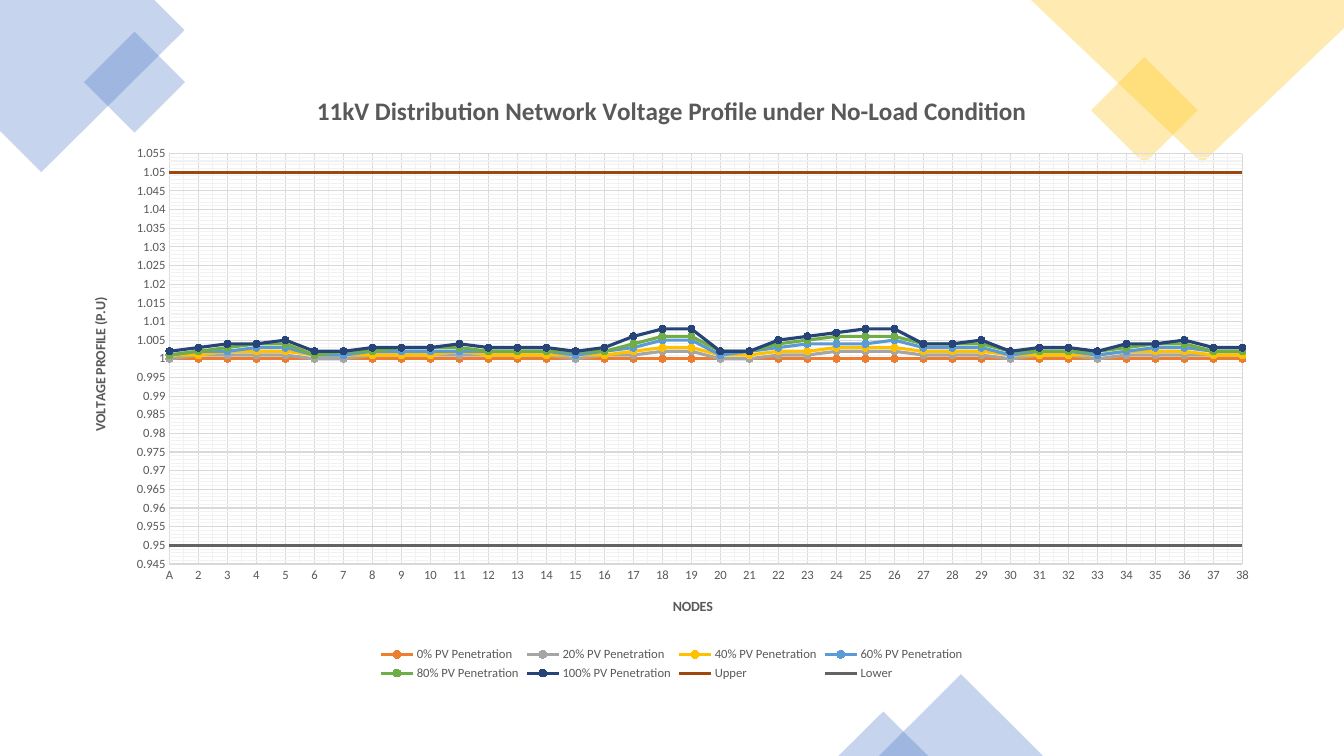
from copy import deepcopy

from lxml.etree import SubElement
from pptx import Presentation
from pptx.chart.data import CategoryChartData as ChartData
from pptx.dml.color import RGBColor
from pptx.enum.chart import XL_CHART_TYPE as Kind
from pptx.enum.chart import XL_LEGEND_POSITION as Place
from pptx.enum.chart import XL_MARKER_STYLE as Mark
from pptx.enum.chart import XL_TICK_MARK as Tick
from pptx.enum.shapes import MSO_SHAPE as Form
from pptx.oxml.ns import qn
from pptx.util import Cm, Pt

# Colours
BLUE = RGBColor(0x44, 0x72, 0xC4)
GOLD = RGBColor(0xFF, 0xC0, 0x00)
ORANGE = RGBColor(0xED, 0x7D, 0x31)
GREY = RGBColor(0xA5, 0xA5, 0xA5)
SKY = RGBColor(0x5B, 0x9B, 0xD5)
GREEN = RGBColor(0x70, 0xAD, 0x47)
NAVY = RGBColor(0x26, 0x44, 0x78)
BROWN = RGBColor(0x9E, 0x48, 0x0E)
STEEL = RGBColor(0x63, 0x63, 0x63)
TEXT = RGBColor(0x59, 0x59, 0x59)
GRID = RGBColor(0xD9, 0xD9, 0xD9)
FAINT = RGBColor(0xF2, 0xF2, 0xF2)

# Chart data: each digit is the rise above 1 p.u. in thousandths
NODES = ["A"] + [str(n) for n in range(2, 39)]
RISES = {
    "0%": (ORANGE, "0" * 38),
    "20%": (GREY, "01111001111111011220011222111011011111"),
    "40%": (GOLD, "11222111112111112331122333222111122211"),
    "60%": (SKY, "12233112222222123551234445333122123322"),
    "80%": (GREEN, "12344122333222224662245666444222234422"),
    "100%": (NAVY, "23445223334333236882256788445233244533"),
}
LIMITS = {"Upper": (BROWN, 1.05), "Lower": (STEEL, 0.95)}


def put(item, values):
    for name, value in values.items():
        setattr(item, name, value)


class Board:
    """Holds the style and the current slide."""

    face = "Calibri"
    alpha = "30000"

    def __init__(self, deck):
        self.slide = deck.slides.add_slide(deck.slide_layouts[6])
        self.shapes = self.slide.shapes

    def tint(self, shape, color):
        shape.shadow.inherit = False
        shape.fill.solid()
        shape.fill.fore_color.rgb = color
        shape.line.fill.background()
        tone = next(shape._element.spPr.iter(qn("a:srgbClr")))
        SubElement(tone, qn("a:alpha")).set("val", self.alpha)

    def outline(self, points, color):
        spots = [(Cm(x), Cm(y)) for x, y in points]
        pen = self.shapes.build_freeform(*spots[0])
        pen.add_line_segments(spots[1:], close=True)
        self.tint(pen.convert_to_shape(), color)

    def preset(self, form, box, color, turn=0):
        shape = self.shapes.add_shape(form, *map(Cm, box))
        shape.rotation = turn
        self.tint(shape, color)

    def font(self, font, size, bold=False):
        put(font, {"name": self.face, "size": Pt(size), "bold": bold})
        font.color.rgb = TEXT

    def title(self, owner, text, size):
        frame = owner.text_frame
        frame.text = text
        self.font(frame.paragraphs[0].runs[0].font, size, True)

    def stroke(self, line, color, width):
        line.color.rgb = color
        line.width = Pt(width)

    def axis(self, axis, text):
        put(axis, {
            "has_major_gridlines": True,
            "has_minor_gridlines": True,
            "major_tick_mark": Tick.NONE,
            "minor_tick_mark": Tick.NONE,
        })
        self.title(axis.axis_title, text, 10)
        self.font(axis.tick_labels.font, 9)
        # Minor grid takes the faint line, then the major grid gets its own
        line = axis.major_gridlines.format.line
        self.stroke(line, FAINT, 0.75)
        major, minor = (axis._element.find(qn(f"c:{part}Gridlines"))
                        for part in ("major", "minor"))
        minor.append(deepcopy(major.find(qn("c:spPr"))))
        self.stroke(line, GRID, 0.75)

    def series(self, series, color, dots):
        series.smooth = False
        self.stroke(series.format.line, color, 2.25)
        mark = series.marker
        if not dots:
            mark.style = Mark.NONE
            return
        put(mark, {"style": Mark.CIRCLE, "size": 5})
        mark.format.fill.solid()
        mark.format.fill.fore_color.rgb = color
        self.stroke(mark.format.line, color, 0.75)

    def chart(self, box, text):
        data = ChartData()
        data.categories = NODES
        for share, (_, digits) in RISES.items():
            rises = [round(1 + int(d) / 1000, 3) for d in digits]
            data.add_series(f"{share} PV Penetration", rises)
        for name, (_, level) in LIMITS.items():
            data.add_series(name, [level] * len(NODES))
        frame = self.shapes.add_chart(Kind.LINE_MARKERS, *map(Cm, box), data)
        chart = frame.chart
        self.font(chart.font, 10)
        self.title(chart.chart_title, text, 18)
        chart.chart_title.include_in_layout = False

        # Axes
        nodes, volts = chart.category_axis, chart.value_axis
        self.axis(nodes, "NODES")
        self.axis(volts, "VOLTAGE PROFILE (P.U)")
        self.stroke(nodes.format.line, GRID, 0.75)
        volts.format.line.fill.background()
        put(volts, {
            "minimum_scale": 0.945,
            "maximum_scale": 1.055,
            "major_unit": 0.005,
            "minor_unit": 0.001,
        })
        put(volts.tick_labels,
            {"number_format": "General", "number_format_is_linked": False})
        # Lines start on the value axis
        cross = SubElement(volts._element, qn("c:crossBetween"))
        cross.set("val", "midCat")
        volts._element.find(qn("c:majorUnit")).addprevious(cross)

        # Lines
        plot = chart.plots[0]
        plot.vary_by_categories = False
        colors = [c for c, _ in [*RISES.values(), *LIMITS.values()]]
        for i, (line, color) in enumerate(zip(plot.series, colors)):
            self.series(line, color, i < len(RISES))

        # Legend
        chart.has_legend = True
        put(chart.legend,
            {"position": Place.BOTTOM, "include_in_layout": False})
        self.font(chart.legend.font, 9)


def main():
    deck = Presentation()
    put(deck, {"slide_width": Cm(33.87), "slide_height": Cm(19.05)})
    board = Board(deck)

    # Corner shapes
    board.outline([(0, 0), (3.89, 0), (4.65, 0.76), (1.04, 4.34), (0, 3.3)],
                  BLUE)
    board.preset(Form.RECTANGLE, (2.49, 1.17, 1.8, 1.8), BLUE, 315)
    board.preset(Form.RECTANGLE, (27.89, 1.83, 1.9, 1.9), GOLD, 315)
    board.outline([(33.87, 0), (25.98, 0), (30.3, 4.11), (33.87, 0.71)], GOLD)

    # Bottom peaks
    for box in (22.15, 16.99, 4.14, 2.06), (21.13, 17.93, 2.26, 1.12):
        board.preset(Form.ISOSCELES_TRIANGLE, box, BLUE)

    # Voltage chart
    board.chart((1.78, 1.78, 30.3, 15.47),
                "11kV Distribution Network Voltage Profile "
                "under No-Load Condition")
    deck.save("out.pptx")


if __name__ == "__main__":
    main()
